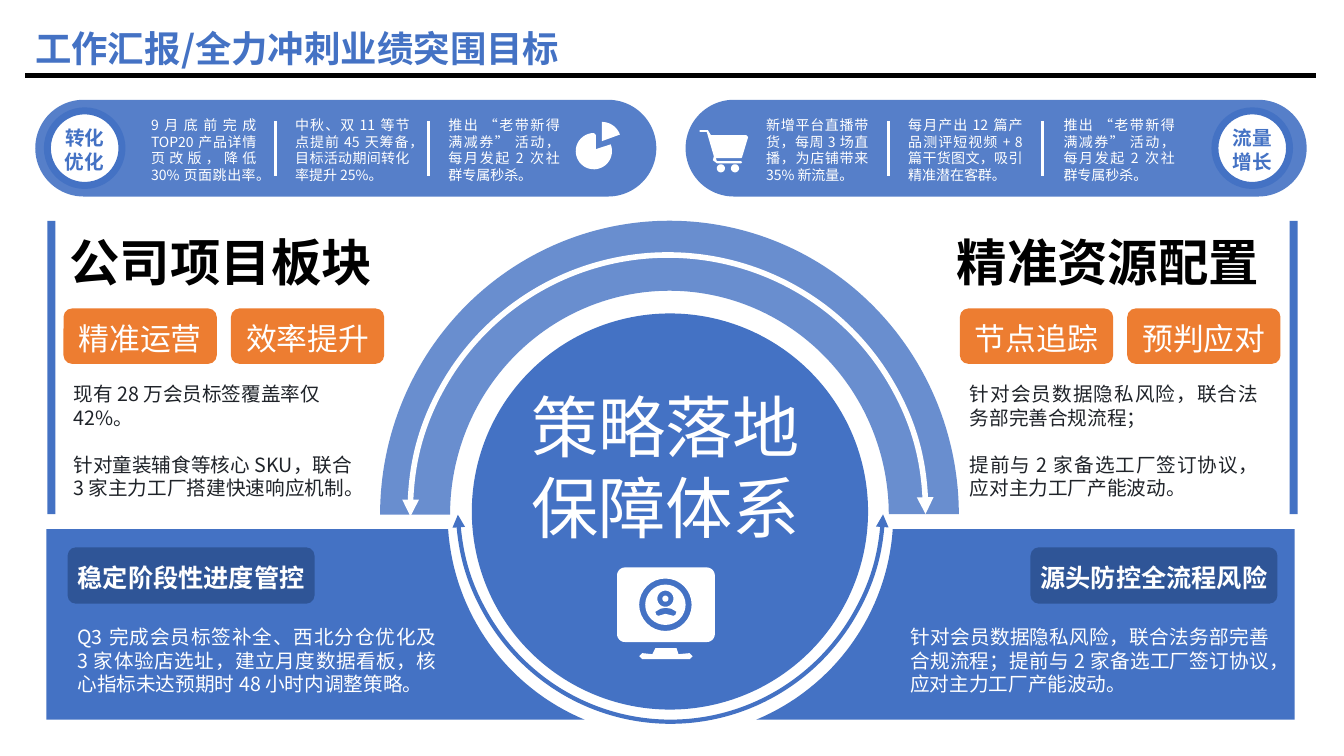
import math

from lxml import etree
from pptx import Presentation
from pptx import util as u
from pptx.dml.color import RGBColor
from pptx.enum import shapes, text
from pptx.oxml.ns import qn

COLORS = {"blue": "4472C4", "navy": "2F5597", "orange": "ED7D31",
          "white": "FFFFFF", "black": "000000", "ink": "1F2329"}
FONT = "Noto Sans CJK SC"
SHAPE = shapes.MSO_SHAPE
ALIGN = text.PP_ALIGN
CENTER_X, CENTER_Y = 6.65, 5.1


def rgb(name):
    return RGBColor.from_string(COLORS[name])


def write(shape, paragraphs, size, color="white", bold=False, align=ALIGN.JUSTIFY):
    for index, content in enumerate(paragraphs):
        frame = shape.text_frame
        paragraph = frame.add_paragraph() if index else frame.paragraphs[0]
        paragraph.alignment = align
        paragraph.line_spacing = u.Pt(size * 1.2)
        if index:
            paragraph.space_before = u.Pt(size * 1.2)
        run = paragraph.add_run()
        run.text = content
        run.font.size = u.Pt(size)
        run.font.bold = bold
        run.font.color.rgb = rgb(color)
        run.font.name = FONT
        etree.SubElement(run.font._element, qn("a:ea"), typeface=FONT)


def add_text(slide, box, paragraphs, size, **style):
    shape = slide.shapes.add_textbox(*map(u.Inches, box))
    shape.text_frame.word_wrap = True
    shape.text_frame.margin_top = u.Inches(0.05 + 0.1 * size / 72)
    write(shape, paragraphs, size, **style)


def paint(shape, fill=None, alpha=None, line=None, width=1):
    shape.shadow.inherit = False
    if fill:
        shape.fill.solid()
        shape.fill.fore_color.rgb = rgb(fill)
    else:
        shape.fill.background()
    if alpha:
        color = shape._element.spPr.find(qn("a:solidFill"))[0]
        etree.SubElement(color, qn("a:alpha"), val=str(alpha * 1000))
    if line:
        shape.line.color.rgb = rgb(line)
        shape.line.width = u.Pt(width)
    else:
        shape.line.fill.background()


def add_shape(slide, kind, box, adjust=(), **style):
    shape = slide.shapes.add_shape(kind, *map(u.Inches, box))
    for index, value in enumerate(adjust):
        shape.adjustments[index] = value
    paint(shape, **style)
    return shape


def add_label(slide, kind, box, content, size, adjust=(), color="white", bold=False, **style):
    shape = add_shape(slide, kind, box, adjust, **style)
    frame = shape.text_frame
    frame.word_wrap = True
    frame.vertical_anchor = text.MSO_ANCHOR.MIDDLE
    frame.margin_left = frame.margin_right = frame.margin_bottom = 0
    frame.margin_top = u.Inches(0.15 * size / 72)
    write(shape, [content], size, color=color, bold=bold, align=ALIGN.CENTER)


def add_line(slide, start, end, color, width):
    line = slide.shapes.add_connector(shapes.MSO_CONNECTOR.STRAIGHT, *map(u.Inches, start + end))
    line.line.color.rgb = rgb(color)
    line.line.width = u.Pt(width)
    etree.SubElement(line._element.spPr, qn("a:effectLst"))


def add_arrow_arc(slide, box, angles, color, width, flip=False):
    arc = add_shape(slide, SHAPE.ARC, box, angles, line=color, width=width)
    for end in ("a:headEnd", "a:tailEnd"):
        etree.SubElement(arc.line._ln, qn(end), type="triangle")
    if flip:
        arc._element.spPr.find(qn("a:xfrm")).set("flipV", "1")


def curve(x, y, radius, start=0, end=360, steps=32):
    angles = [math.radians(start + (end - start) * step / steps) for step in range(steps + 1)]
    return [(x + radius * math.cos(a), y + radius * math.sin(a)) for a in angles]


def rounded(left, top, width, height, radius):
    right, bottom = left + width - radius, top + height - radius
    left, top = left + radius, top + radius
    corners = [(left, top, 180), (right, top, 270), (right, bottom, 0), (left, bottom, 90)]
    return [point for x, y, angle in corners
            for point in curve(x, y, radius, angle, angle + 90, 8)]


def add_outline(slide, contours, fill):
    contours = [[(u.Inches(x), u.Inches(y)) for x, y in contour] for contour in contours]
    builder = slide.shapes.build_freeform(*contours[0][0], scale=1.0)
    for index, contour in enumerate(contours):
        if index:
            builder.move_to(*contour[0])
        builder.add_line_segments(contour[1:], close=True)
    paint(builder.convert_to_shape(), fill)


def header(slide, left, top):
    add_line(slide, (left, top + 0.58), (13.05, top + 0.58), "black", 3)
    add_text(slide, (left, top, 6.82, 0.54), ["工作汇报/全力冲刺业绩突围目标"], 26,
             color="blue", bold=True, align=ALIGN.LEFT)


def banner(slide, left, top, label, label_offset, notes, dividers):
    add_shape(slide, SHAPE.ROUNDED_RECTANGLE, (left, top, 6.16, 0.96), [0.5],
              fill="blue", alpha=90)
    add_label(slide, SHAPE.OVAL, (left + label_offset, top + 0.11, 0.74, 0.74), label, 14,
              color="blue", bold=True, fill="white", line="blue", width=5)
    for offset, width, content in notes:
        add_text(slide, (left + offset, top + 0.1, width, 0.77), [content], 10)
    for offset in dividers:
        x = left + offset
        add_line(slide, (x, top + 0.21), (x, top + 0.76), "white", 2)


def panel(slide, left, top, bar_left, title_left, title, tags, notes, align):
    add_shape(slide, SHAPE.RECTANGLE, (bar_left, top, 0.08, 2.91), fill="blue")
    add_text(slide, (title_left, top, 3.32, 0.71), [title], 36, color="black", bold=True)
    for index, tag in enumerate(tags):
        add_label(slide, SHAPE.ROUNDED_RECTANGLE, (left + index * 1.66, top + 0.87, 1.52, 0.55),
                  tag, 22, [0.156], fill="orange")
    add_text(slide, (left, top + 1.53, 3.06, 1.29), notes, 14, color="ink", align=align)


def foundation(slide, top, side, heading_left, heading, note_left, note):
    bottom, radius = top + 1.89, 2.21
    first, last = (math.degrees(math.asin((y - CENTER_Y) / radius)) for y in (top, bottom))
    edge = [(CENTER_X + side * (x - CENTER_X), y)
            for x, y in curve(CENTER_X, CENTER_Y, radius, first, last)]
    outer = CENTER_X + side * 6.19
    add_outline(slide, [edge + [(outer, bottom), (outer, top)]], "blue")
    add_label(slide, SHAPE.ROUNDED_RECTANGLE, (heading_left, top + 0.18, 2.45, 0.56),
              heading, 18, [0.151], bold=True, fill="navy")
    add_text(slide, (note_left, top + 0.88, 3.76, 0.81), [note], 14)


def core(slide, left, top):
    add_shape(slide, SHAPE.BLOCK_ARC, (left, top, 5.74, 5.83), [108, 215.945, 0.121],
              fill="blue", alpha=80)
    add_shape(slide, SHAPE.OVAL, (left + 0.91, top + 0.92, 3.93, 3.93), fill="blue")
    add_text(slide, (left + 1.1, top + 1.52, 3.46, 1.72), ["策略落地保障体系"], 48,
             align=ALIGN.CENTER)
    add_arrow_arc(slide, (left + 0.3, top + 0.34, 5.11, 5.07), (107.214, 0.467), "white", 4)
    add_arrow_arc(slide, (left + 0.77, top + 0.7, 4.22, 4.27), (109.331, 214.718),
                  "blue", 3, flip=True)


def monitor_icon(slide, x, y):
    shoulders = [(-0.1, 0.07), (-0.05, 0.04), (0, 0.03), (0.06, 0.04), (0.11, 0.07),
                 (0.1, 0.1), (0.08, 0.11), (0, 0.09), (-0.07, 0.11), (-0.09, 0.1)]
    person = [(x + dx, y + dy) for dx, dy in shoulders]
    add_outline(slide, [curve(x, y, 0.2), curve(x, y - 0.06, 0.08), person], "white")
    add_outline(slide, [rounded(x - 0.48, y - 0.37, 0.97, 0.74, 0.08), curve(x, y, 0.26)], "white")
    add_outline(slide, [curve(x, y - 0.06, 0.03)], "white")
    stand = [(-0.1, 0.43), (0.11, 0.43), (0.13, 0.49), (0.24, 0.48), (0.27, 0.51),
             (0.24, 0.54), (-0.23, 0.54), (-0.26, 0.51), (-0.23, 0.48), (-0.13, 0.49)]
    add_outline(slide, [[(x + dx, y + dy) for dx, dy in stand]], "white")


def pie_icon(slide, x, y):
    add_outline(slide, [[(x + 0.08, y - 0.1)] + curve(x + 0.08, y - 0.1, 0.19, -90, -20)], "white")
    add_outline(slide, [curve(x, y, 0.18, -22, 270) + [(x + 0.02, y - 0.16), (x + 0.02, y - 0.02)]],
                "white")


def cart_icon(slide, left, top):
    for offset in (0.21, 0.35):
        add_outline(slide, [curve(left + offset, top + 0.38, 0.04)], "white")
    body = [(0, 0), (0.08, 0), (0.11, 0.05), (0.46, 0.05), (0.48, 0.07), (0.42, 0.27),
            (0.41, 0.28), (0.16, 0.28), (0.17, 0.31), (0.41, 0.31), (0.42, 0.32),
            (0.41, 0.33), (0.17, 0.33), (0.13, 0.3), (0.14, 0.26), (0.07, 0.02), (0, 0.02)]
    add_outline(slide, [[(left + dx, top + dy) for dx, dy in body]], "white")


def main():
    presentation = Presentation()
    presentation.slide_width, presentation.slide_height = u.Inches(13.33), u.Inches(7.5)
    slide = presentation.slides.add_slide(presentation.slide_layouts[6])
    member_note = "推出 “老带新得满减券” 活动，每月发起 2 次社群专属秒杀。"
    header(slide, 0.25, 0.17)
    core(slide, 3.77, 2.19)
    foundation(slide, 5.25, -1, 0.67, "稳定阶段性进度管控", 0.67,
               "Q3 完成会员标签补全、西北分仓优化及 3 家体验店选址，建立月度数据看板，"
               "核心指标未达预期时 48 小时内调整策略。")
    foundation(slide, 5.25, 1, 10.22, "源头防控全流程风险", 8.93,
               "针对会员数据隐私风险，联合法务部完善合规流程；"
               "提前与 2 家备选工厂签订协议，应对主力工厂产能波动。")
    panel(slide, 0.63, 2.19, 0.47, 0.59, "公司项目板块", ["精准运营", "效率提升"],
          ["现有 28 万会员标签覆盖率仅42%。",
           "针对童装辅食等核心 SKU，联合 3 家主力工厂搭建快速响应机制。"], ALIGN.LEFT)
    panel(slide, 9.52, 2.19, 12.79, 9.39, "精准资源配置", ["节点追踪", "预判应对"],
          ["针对会员数据隐私风险，联合法务部完善合规流程；",
           "提前与 2 家备选工厂签订协议，应对主力工厂产能波动。"], ALIGN.JUSTIFY)
    banner(slide, 0.35, 0.99, "转化优化", 0.12, [
        (1.05, 1.24, "9月底前完成TOP20 产品详情页改版，降低 30% 页面跳出率。"),
        (2.48, 1.33, "中秋、双 11 等节点提前 45 天筹备，目标活动期间转化率提升 25%。"),
        (4.0, 1.3, member_note)], (2.38, 3.9))
    banner(slide, 6.8, 0.99, "流量增长", 5.25, [
        (0.7, 1.21, "新增平台直播带货，每周 3 场直播，为店铺带来 35% 新流量。"),
        (2.11, 1.33, "每月产出 12 篇产品测评短视频 + 8 篇干货图文，吸引精准潜在客群。"),
        (3.65, 1.3, member_note)], (2.01, 3.54))
    monitor_icon(slide, 6.6, 6)
    pie_icon(slide, 5.89, 1.5)
    cart_icon(slide, 6.94, 1.29)
    presentation.save("out.pptx")


if __name__ == "__main__":
    main()
